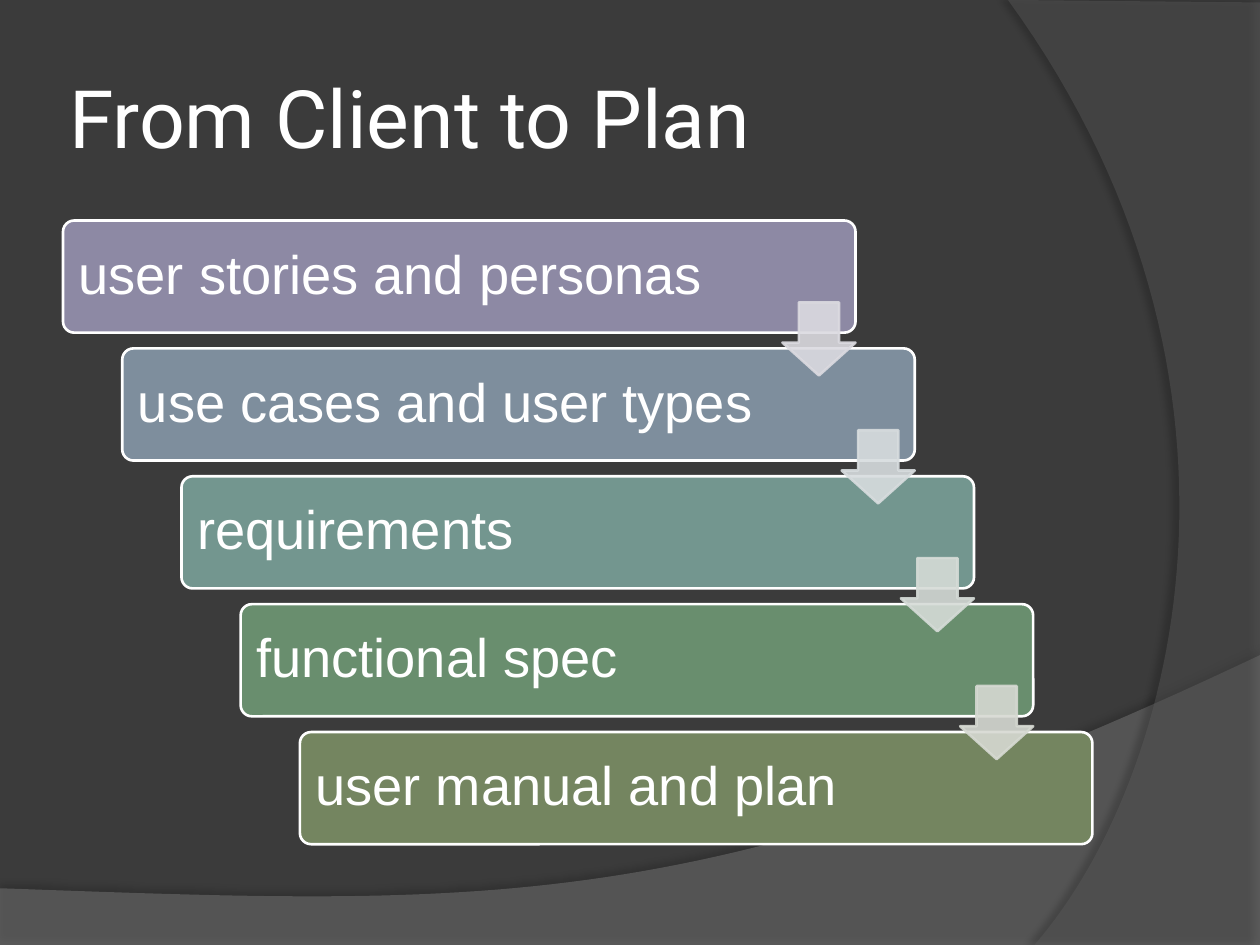
from lxml.etree import SubElement
from pptx import Presentation
from pptx.dml.color import RGBColor
from pptx.enum.shapes import MSO_SHAPE as SHAPE
from pptx.enum.text import MSO_ANCHOR as ANCHOR, PP_ALIGN as ALIGN
from pptx.oxml.ns import qn
from pptx.util import Inches, Pt

WIDTH, HEIGHT = 10, 7.5
LEFT, TOP = 0.05 * WIDTH, 1.75
STEP_X, STEP_Y = 0.47, 1.015
BAR_W, BAR_H = 6.29, 0.89
ARROW = 0.58
ARROW_DROP = 0.65

COLORS = {
    "background": "3B3B3B",
    "text": "FFFFFF",
    "lower_wave": "7F7F7F",
    "right_wave": "5E5E5E",
    "shadow": "000000",
}
STEPS = [
    ("user stories and personas", "8D89A4", "DBDAE0"),
    ("use cases and user types", "7E8E9D", "D7DCDE"),
    ("requirements", "73968F", "D5DBD7"),
    ("functional spec", "698E6E", "D6D9D2"),
    ("user manual and plan", "748560", None),
]


def rgb(color):
    return RGBColor.from_string(color)


def set_alpha(element, percent):
    for clr in element.iter(qn("a:srgbClr")):
        SubElement(clr, qn("a:alpha"), val=str(percent * 1000))


def paint(sp, fill, line=None):
    sp.shadow.inherit = False
    sp.fill.solid()
    sp.fill.fore_color.rgb = rgb(fill)
    if line:
        sp.line.color.rgb = rgb(line)
        sp.line.width = Pt(1.5)
    else:
        sp.line.fill.background()


def add_shadow(sp, percent, distance, angle):
    effects = sp._element.spPr.find(qn("a:effectLst"))
    shadow = SubElement(effects, qn("a:outerShdw"), blurRad=str(Pt(4)),
                        dist=str(Pt(distance)), dir=str(angle * 60000),
                        algn="ctr", rotWithShape="0")
    SubElement(shadow, qn("a:srgbClr"), val=COLORS["shadow"])
    set_alpha(shadow, percent)


def bezier(start, c1, c2, end, count=60):
    points = []
    for i in range(count + 1):
        t = i / count
        u = 1 - t
        weights = (u ** 3, 3 * u * u * t, 3 * u * t * t, t ** 3)
        points.append(tuple(sum(w * pt[axis] for w, pt in zip(weights, (start, c1, c2, end)))
                            for axis in (0, 1)))
    return points


def add_wave(s, corners, curve, color, alpha):
    points = [(Inches(x), Inches(y)) for x, y in corners + bezier(*curve)]
    builder = s.shapes.build_freeform(*points[0])
    builder.add_line_segments(points[1:], close=True)
    sp = builder.convert_to_shape()
    paint(sp, color)
    set_alpha(sp._element.spPr, alpha)
    return sp


def write(sp, text, font, size, inset):
    tf = sp.text_frame
    tf.word_wrap = True
    tf.vertical_anchor = ANCHOR.MIDDLE
    tf.margin_left = tf.margin_right = Inches(inset)
    tf.margin_top = tf.margin_bottom = Inches(0.05)
    tf.text = text
    p = tf.paragraphs[0]
    p.alignment = ALIGN.LEFT
    r = p.runs[0]
    r.font.name, r.font.size = font, Pt(size)
    r.font.color.rgb = rgb(COLORS["text"])
    return p


def add_title(s, text):
    box = s.shapes.add_textbox(Inches(LEFT), Inches(0.04 * HEIGHT), Inches(8.17), Inches(1.25))
    write(box, text, "Roboto", 46, 0.05)


def add_bar(s, row, text, color):
    bar = s.shapes.add_shape(SHAPE.ROUNDED_RECTANGLE,
                             Inches(LEFT + row * STEP_X), Inches(TOP + row * STEP_Y),
                             Inches(BAR_W), Inches(BAR_H))
    bar.adjustments[0] = 0.1
    paint(bar, color, COLORS["text"])
    write(bar, text, "Arial", 31, 0.1).line_spacing = 0.9


def add_arrow(s, row, color):
    arrow = s.shapes.add_shape(SHAPE.DOWN_ARROW,
                               Inches(LEFT + row * STEP_X + BAR_W - ARROW),
                               Inches(TOP + row * STEP_Y + ARROW_DROP),
                               Inches(ARROW), Inches(ARROW))
    arrow.adjustments[0], arrow.adjustments[1] = 0.55, 0.45
    paint(arrow, color, color)
    set_alpha(arrow._element.spPr, 90)


def add_backdrop(s):
    s.background.fill.solid()
    s.background.fill.fore_color.rgb = rgb(COLORS["background"])
    lower = add_wave(s, [(0, 7.05), (0, HEIGHT), (WIDTH, HEIGHT)],
                     ((WIDTH, 5.2), (5.59, 7.29), (3.91, 7.19), (0, 7.05)),
                     COLORS["lower_wave"], 45)
    add_shadow(lower, 35, 3.5, 270)
    right = add_wave(s, [(WIDTH, 0.02), (WIDTH, HEIGHT)],
                     ((8.21, HEIGHT), (9.35, 6.19), (10.18, 3), (8, 0)),
                     COLORS["right_wave"], 40)
    add_shadow(right, 45, 4, 180)


def main():
    prs = Presentation()
    prs.slide_width, prs.slide_height = Inches(WIDTH), Inches(HEIGHT)
    s = prs.slides.add_slide(prs.slide_layouts[6])
    add_backdrop(s)
    add_title(s, "From Client to Plan")
    for row, (text, color, _) in enumerate(STEPS):
        add_bar(s, row, text, color)
    for row, (_, _, color) in enumerate(STEPS[:-1]):
        add_arrow(s, row, color)
    prs.save("out.pptx")


if __name__ == "__main__":
    main()
